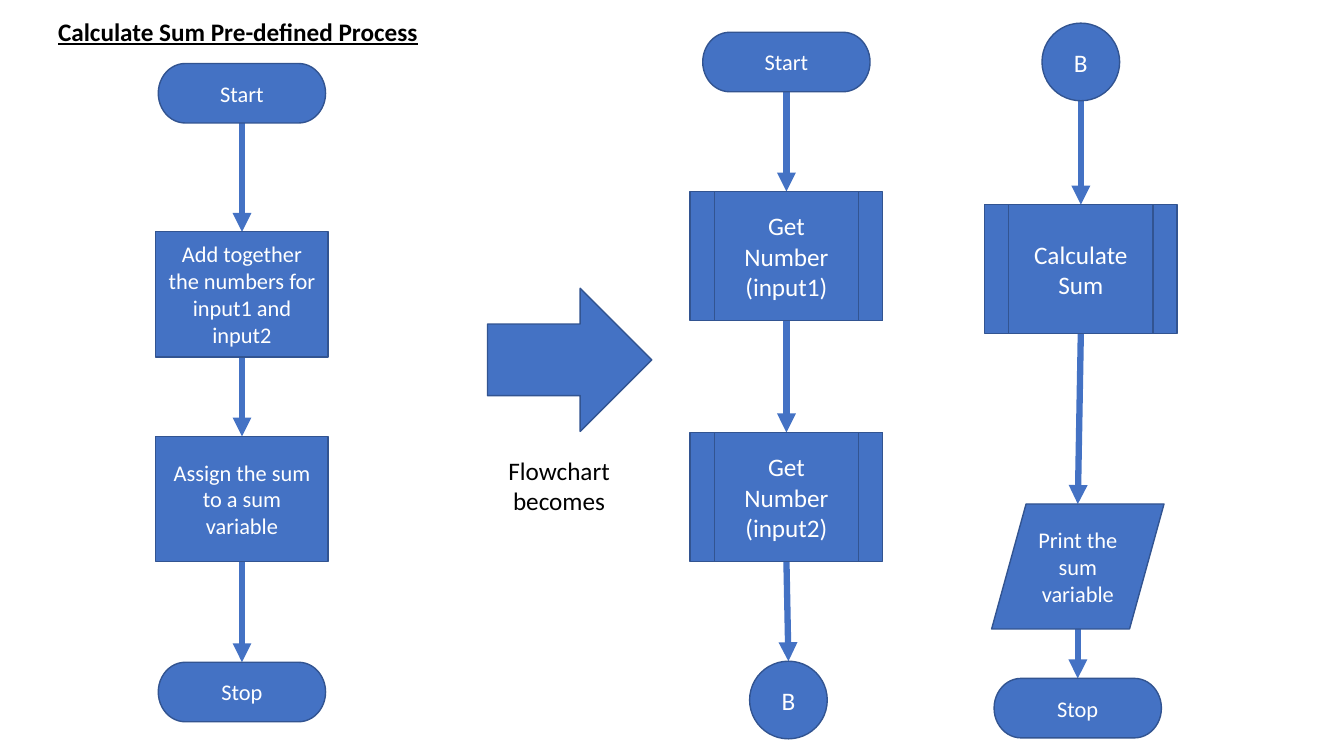
"""Build a slide that turns a sum process into a flowchart of pre-defined processes."""
import dataclasses
import itertools

import lxml.etree
import pptx
import pptx.dml.color
import pptx.enum.shapes
import pptx.enum.text
import pptx.oxml.ns
import pptx.shapes.autoshape
import pptx.slide
import pptx.text.text
import pptx.util

Inches = pptx.util.Inches
Shape = pptx.enum.shapes.MSO_SHAPE
Anchor = pptx.enum.text.MSO_ANCHOR
FONT = "Calibri"
COLORS = {"fill": "4472C4", "edge": "325491", "light": "FFFFFF", "dark": "000000"}


@dataclasses.dataclass(frozen=True)
class Kind:
    form: Shape
    width: float
    height: float
    size: int


@dataclasses.dataclass(frozen=True)
class Node:
    kind: Kind
    mid: float
    top: float
    text: str

    @property
    def base(self) -> float:
        return self.top + self.kind.height


END = Kind(Shape.FLOWCHART_TERMINATOR, 1.66, 0.59, 16)
STEP = Kind(Shape.FLOWCHART_PROCESS, 1.71, 1.24, 16)
DATA = Kind(Shape.FLOWCHART_DATA, 1.71, 1.24, 16)
CALL = Kind(Shape.FLOWCHART_PREDEFINED_PROCESS, 1.91, 1.28, 18)
JOIN = Kind(Shape.FLOWCHART_CONNECTOR, 0.77, 0.77, 18)
TURN = Kind(Shape.RIGHT_ARROW, 1.63, 1.42, 18)

FLOWS = [
    [
        Node(END, 2.4, 0.63, "Start"),
        Node(STEP, 2.4, 2.3, "Add together the numbers for input1 and input2"),
        Node(STEP, 2.4, 4.33, "Assign the sum to a sum variable"),
        Node(END, 2.4, 6.57, "Stop"),
    ],
    [
        Node(END, 7.8, 0.32, "Start"),
        Node(CALL, 7.8, 1.9, "Get Number (input1)"),
        Node(CALL, 7.8, 4.29, "Get Number\n(input2)"),
        Node(JOIN, 7.82, 6.56, "B"),
    ],
    [
        Node(JOIN, 10.72, 0.23, "B"),
        Node(CALL, 10.72, 2.03, "Calculate Sum"),
        Node(DATA, 10.69, 5, "Print the sum variable"),
        Node(END, 10.69, 6.73, "Stop"),
    ],
    [Node(TURN, 5.65, 2.86, "")],
]


def color(name: str) -> pptx.dml.color.RGBColor:
    """Return a named colour."""
    return pptx.dml.color.RGBColor.from_string(COLORS[name])


def write(frame: pptx.text.text.TextFrame, text: str, size: int, tone: str, anchor: Anchor) -> None:
    """Fill a frame with centred text."""
    frame.text = text
    frame.word_wrap = True
    frame.vertical_anchor = anchor
    for para in frame.paragraphs:
        para.alignment = pptx.enum.text.PP_ALIGN.CENTER
        para.font.name = FONT
        para.font.size = pptx.util.Pt(size)
        para.font.color.rgb = color(tone)


def draw(slide: pptx.slide.Slide, node: Node) -> None:
    """Draw one node."""
    kind = node.kind
    left = node.mid - kind.width / 2
    shape = slide.shapes.add_shape(
        kind.form, Inches(left), Inches(node.top), Inches(kind.width), Inches(kind.height)
    )
    shape.shadow.inherit = False
    shape.fill.solid()
    shape.fill.fore_color.rgb = color("fill")
    shape.line.color.rgb = color("edge")
    shape.line.width = pptx.util.Pt(1)
    if node.text:
        write(shape.text_frame, node.text, kind.size, "light", Anchor.MIDDLE)


def link(slide: pptx.slide.Slide, start: Node, stop: Node) -> None:
    """Draw an arrow from one node down to the next."""
    arrow = slide.shapes.add_connector(
        pptx.enum.shapes.MSO_CONNECTOR.STRAIGHT,
        Inches(start.mid), Inches(start.base), Inches(stop.mid), Inches(stop.top),
    )
    arrow.line.color.rgb = color("fill")
    arrow.line.width = pptx.util.Pt(4.5)
    qn = pptx.oxml.ns.qn
    lxml.etree.SubElement(arrow.line._get_or_add_ln(), qn("a:tailEnd"), type="triangle")
    lxml.etree.SubElement(arrow._element.spPr, qn("a:effectLst"))


def head(slide: pptx.slide.Slide) -> None:
    """Place and format the title."""
    title = slide.shapes.title
    title.left, title.top = Inches(0.42), Inches(0.11)
    title.width, title.height = Inches(3.88), Inches(0.4)
    write(title.text_frame, "Calculate Sum Pre-defined Process", 18, "dark", Anchor.TOP)
    title.text_frame.auto_size = pptx.enum.text.MSO_AUTO_SIZE.SHAPE_TO_FIT_TEXT
    font = title.text_frame.paragraphs[0].font
    font.bold = True
    font.underline = True


def main() -> None:
    """Build and save the slide."""
    deck = pptx.Presentation()
    deck.slide_width, deck.slide_height = Inches(13.33), Inches(7.5)
    slide = deck.slides.add_slide(deck.slide_layouts.get_by_name("Title Only"))
    head(slide)
    for flow in FLOWS:
        for start, stop in itertools.pairwise(flow):
            link(slide, start, stop)
        for node in flow:
            draw(slide, node)
    label = slide.shapes.add_textbox(Inches(4.73), Inches(4.47), Inches(1.63), Inches(0.71))
    write(label.text_frame, "Flowchart becomes", 18, "dark", Anchor.TOP)
    deck.save("out.pptx")


if __name__ == "__main__":
    main()
